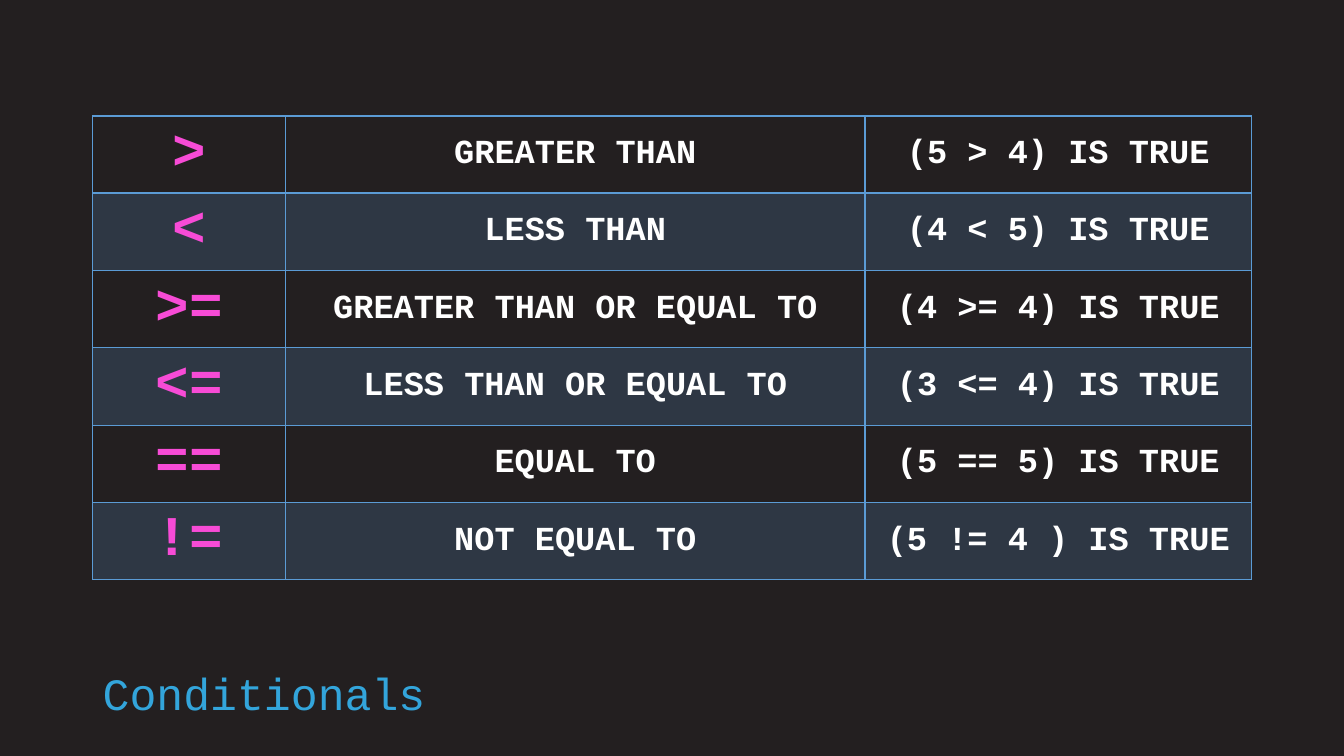
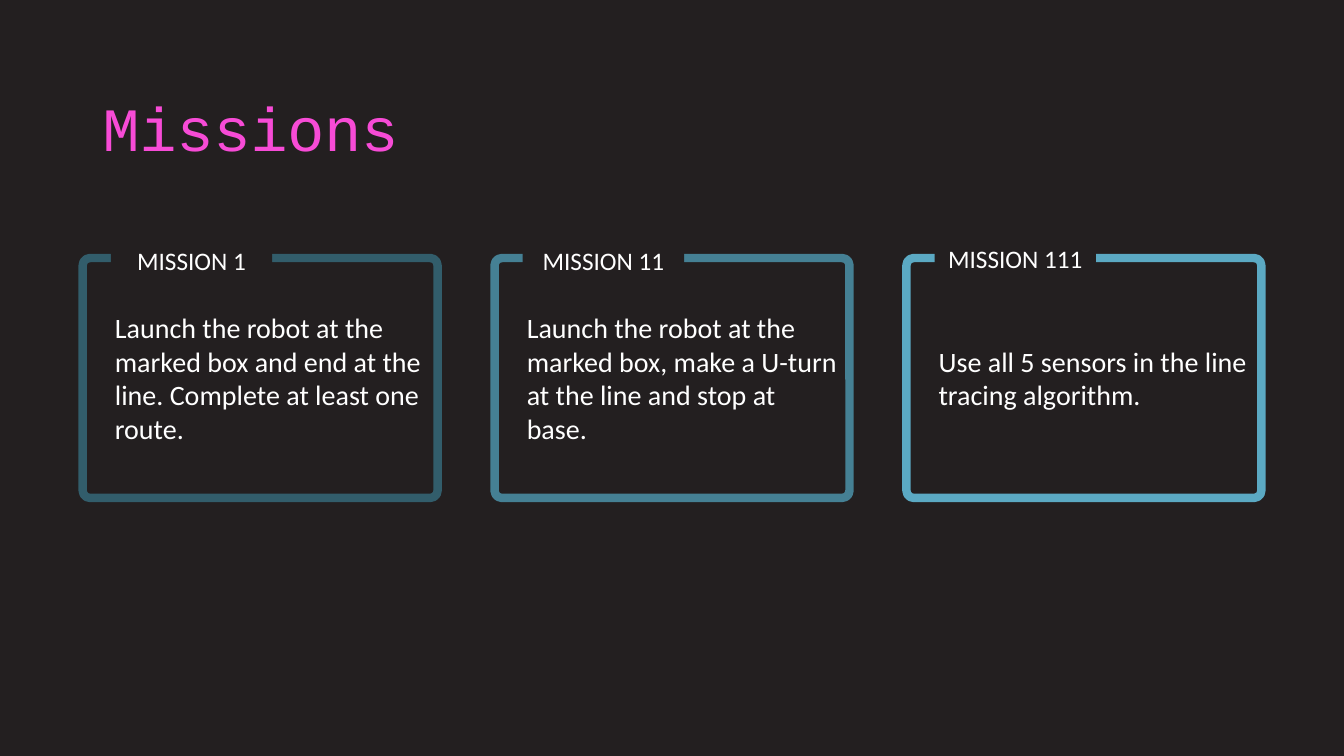
"""Build two dark slides: a table of conditionals and three mission cards."""
from dataclasses import dataclass

from lxml.etree import SubElement
from pptx import Presentation
from pptx.dml.color import RGBColor as RGB
from pptx.enum.shapes import MSO_SHAPE as SHAPE
from pptx.enum.text import MSO_ANCHOR as ANCHOR, PP_ALIGN as ALIGN
from pptx.oxml.ns import qn
from pptx.util import Inches, Pt


@dataclass(frozen=True)
class Theme:
    back: str = "231F20"
    white: str = "FFFFFF"
    pink: str = "F74BD6"
    blue: str = "33A5DB"
    grid: str = "5B9BD5"
    band_alpha: int = 20
    code: str = "Courier New"
    body: str = "Calibri"
    title: int = 44
    symbol: int = 40
    caption: int = 32
    cell: int = 24
    text: int = 20
    label: int = 18


T = Theme()


def write(tf, text, color, align=ALIGN.LEFT, **fmt):
    tf.word_wrap = True
    tf.vertical_anchor = ANCHOR.MIDDLE
    p = tf.paragraphs[0]
    p.alignment = align
    r = p.add_run()
    r.text = text
    r.font.color.rgb = RGB.from_string(color)
    for name, value in fmt.items():
        setattr(r.font, name, value)
    return p


def add_slide(prs, title, top, color, size):
    s = prs.slides.add_slide(prs.slide_layouts[6])
    s.background.fill.solid()
    s.background.fill.fore_color.rgb = RGB.from_string(T.back)
    tf = s.shapes.add_textbox(Inches(0.92), Inches(top), Inches(11.5), Inches(1.2)).text_frame
    p = write(tf, title, color, name=T.code, size=Pt(size))
    p.line_spacing = 0.9
    return s


prs = Presentation()
prs.slide_width, prs.slide_height = Inches(13.33), Inches(7.5)

s = add_slide(prs, "Conditionals", 6.3, T.blue, T.caption)
rows = [
    (">", "GREATER THAN", "(5 > 4) IS TRUE"),
    ("<", "LESS THAN", "(4 < 5) IS TRUE"),
    (">=", "GREATER THAN OR EQUAL TO", "(4 >= 4) IS TRUE"),
    ("<=", "LESS THAN OR EQUAL TO", "(3 <= 4) IS TRUE"),
    ("==", "EQUAL TO", "(5 == 5) IS TRUE"),
    ("!=", "NOT EQUAL TO", "(5 != 4 ) IS TRUE"),
]
table = s.shapes.add_table(len(rows), 3, Inches(0.92), Inches(1.15), Inches(11.5), Inches(4.6)).table
table.first_row = table.horz_banding = False
for col, width in zip(table.columns, (1.91, 5.75, 3.83)):
    col.width = Inches(width)
for i, row in enumerate(rows):
    for j, text in enumerate(row):
        cell = table.cell(i, j)
        color, size = (T.pink, T.symbol) if j == 0 else (T.white, T.cell)
        write(cell.text_frame, text, color, ALIGN.CENTER, name=T.code, size=Pt(size), bold=True)
        cell.vertical_anchor = ANCHOR.MIDDLE
        tcPr = cell._tc.get_or_add_tcPr()
        for side in ("lnL", "lnR", "lnT", "lnB"):
            weight = 2 if i == 0 and side == "lnB" else 1
            ln = SubElement(tcPr, qn("a:" + side), w=str(Pt(weight)))
            SubElement(SubElement(ln, qn("a:solidFill")), qn("a:srgbClr"), val=T.grid)
        if i % 2:
            cell.fill.solid()
            cell.fill.fore_color.rgb = RGB.from_string(T.grid)
            clr = tcPr.find(qn("a:solidFill")).find(qn("a:srgbClr"))
            SubElement(clr, qn("a:alpha"), val=str(T.band_alpha * 1000))
        else:
            cell.fill.background()

s = add_slide(prs, "Missions", 0.71, T.pink, T.title)
missions = [
    ("MISSION 1", 2.38, "325D6B",
     "Launch the robot at the marked box and end at the line. Complete at least one route."),
    ("MISSION 11", 2.38, "458094",
     "Launch the robot at the marked box, make a U-turn at the line and stop at base."),
    ("MISSION 111", 2.36, "5BA9C3", "Use all 5 sensors in the line tracing algorithm."),
]
for i, (label, label_top, edge, text) in enumerate(missions):
    left = 0.82 + i * 8.17 / 2
    card = s.shapes.add_shape(SHAPE.ROUNDED_RECTANGLE, Inches(left), Inches(2.56), Inches(3.52), Inches(2.38))
    card.adjustments[0] = 0.03
    card.shadow.inherit = False
    card.fill.background()
    card.line.color.rgb = RGB.from_string(edge)
    card.line.width = Pt(6)
    p = write(card.text_frame, text, T.white, name=T.body, size=Pt(T.text))
    p._p.get_or_add_pPr().set("marL", str(Inches(0.2)))

    tag = s.shapes.add_shape(SHAPE.RECTANGLE, Inches(left + 0.28), Inches(label_top), Inches(1.6), Inches(0.4))
    tag.shadow.inherit = False
    tag.fill.solid()
    tag.fill.fore_color.rgb = RGB.from_string(T.back)
    tag.line.fill.background()
    write(tag.text_frame, label, T.white, ALIGN.CENTER, name=T.body, size=Pt(T.label))

prs.save("out.pptx")
